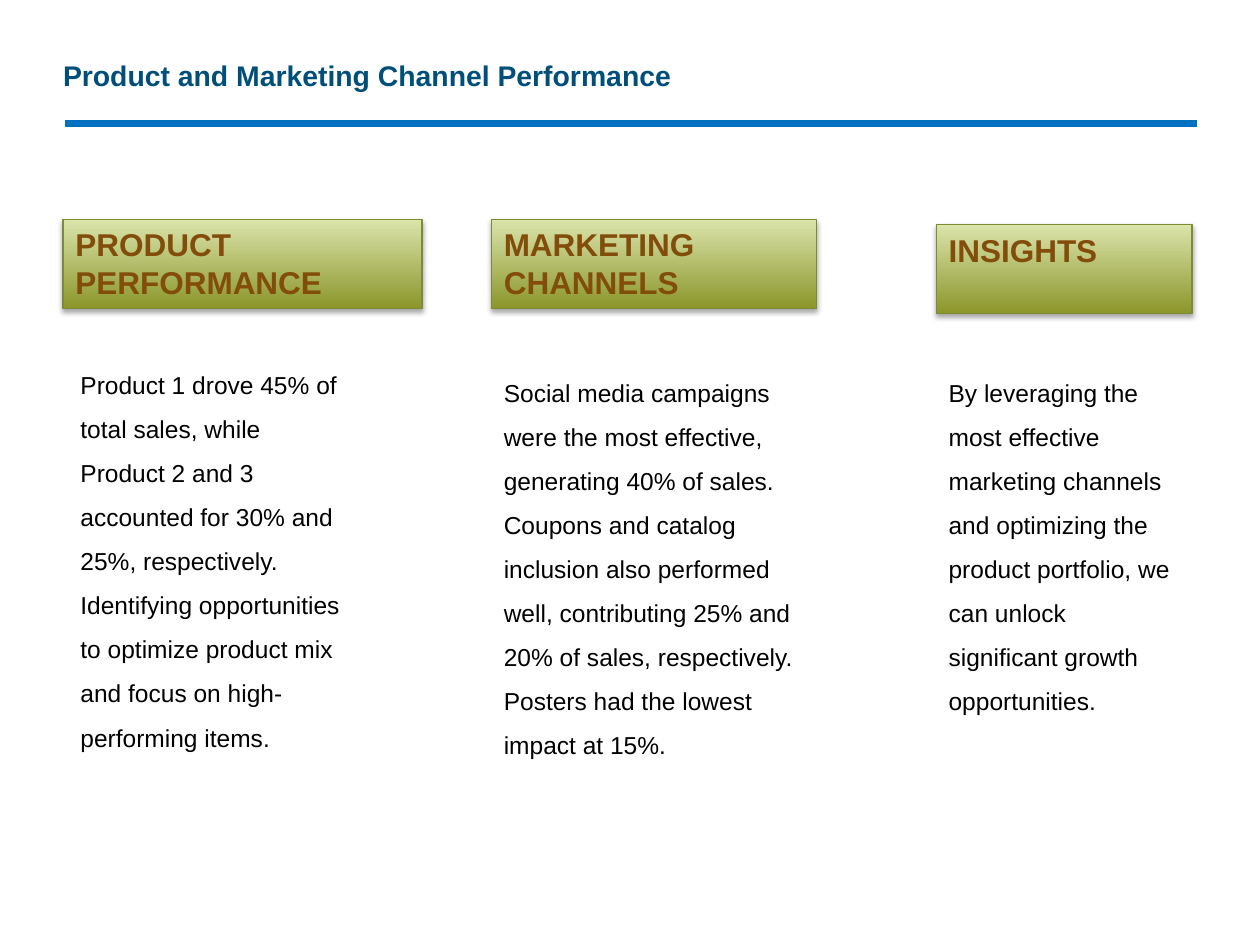
from lxml import etree
from pptx import Presentation
from pptx.dml.color import RGBColor
from pptx.enum.shapes import MSO_CONNECTOR, MSO_SHAPE
from pptx.enum.text import MSO_ANCHOR, MSO_AUTO_SIZE, PP_ALIGN
from pptx.oxml import parse_xml
from pptx.oxml.ns import nsdecls, qn
from pptx.util import Pt

STRAIGHT = MSO_CONNECTOR.STRAIGHT
RECT = MSO_SHAPE.RECTANGLE
TOP, MIDDLE = MSO_ANCHOR.TOP, MSO_ANCHOR.MIDDLE
NO_FIT = MSO_AUTO_SIZE.NONE
LEFT = PP_ALIGN.LEFT

TITLE_BLUE = RGBColor(0x00, 0x4F, 0x7A)
RULE_BLUE = RGBColor(0x00, 0x70, 0xC0)
OLIVE = RGBColor(0x8B, 0x96, 0x2B)
PALE_OLIVE = RGBColor(0xDB, 0xE4, 0xAB)
EDGE_OLIVE = RGBColor(0x80, 0x89, 0x34)
BROWN = RGBColor(0x82, 0x4D, 0x0A)
BLACK = RGBColor(0x00, 0x00, 0x00)

TITLE_FONT = {"name": "Arial", "size": Pt(16.2), "bold": True}
HEADER_FONT = {"name": "Arial", "size": Pt(18), "bold": True}
BODY_FONT = {"name": "Arial", "size": Pt(14), "bold": False}

HEADER_HEIGHT = 51.1
COLUMNS = [
    ("PRODUCT PERFORMANCE", (36, 125.3, 205.2), (38.9, 199.4, 163.4, 233.3),
     "Product 1 drove 45% of total sales, while Product 2 and 3 accounted for "
     "30% and 25%, respectively. Identifying opportunities to optimize product "
     "mix and focus on high-performing items."),
    ("MARKETING CHANNELS", (280.8, 125.3, 185.8), (280.8, 203.8, 185.8, 233.3),
     "Social media campaigns were the most effective, generating 40% of sales. "
     "Coupons and catalog inclusion also performed well, contributing 25% and "
     "20% of sales, respectively. Posters had the lowest impact at 15%."),
    ("INSIGHTS", (535, 128.2, 146.2), (535, 203.8, 146.2, 207.4),
     "By leveraging the most effective marketing channels and optimizing the "
     "product portfolio, we can unlock significant growth opportunities."),
]


def write_text(shape, text, font, color, anchor, spacing):
    tf = shape.text_frame
    tf.word_wrap = True
    tf.auto_size = NO_FIT
    tf.vertical_anchor = anchor
    p = tf.paragraphs[0]
    p.alignment = LEFT
    p.line_spacing = spacing
    r = p.add_run()
    r.text = text
    for name, value in font.items():
        setattr(r.font, name, value)
    r.font.color.rgb = color


def add_title(s, x, y, w, h):
    title = s.shapes.title
    title.left, title.top, title.width, title.height = Pt(x), Pt(y), Pt(w), Pt(h)
    title.text_frame.margin_left = title.text_frame.margin_right = 0
    write_text(title, "Product and Marketing Channel Performance",
               TITLE_FONT, TITLE_BLUE, MIDDLE, 0.9)


def add_rule(s, x, y, w):
    rule = s.shapes.add_connector(STRAIGHT, Pt(x), Pt(y), Pt(x + w), Pt(y))
    rule.line.color.rgb = RULE_BLUE
    rule.line.width = Pt(4.5)
    etree.SubElement(rule._element.spPr, qn("a:effectLst"))


def add_shadow(shape):
    shape._element.spPr.append(parse_xml(
        f'<a:effectLst {nsdecls("a")}>'
        f'<a:outerShdw blurRad="{Pt(3.1)}" dist="{Pt(1.8)}" dir="5400000" rotWithShape="0">'
        '<a:srgbClr val="000000"><a:alpha val="35000"/></a:srgbClr>'
        '</a:outerShdw></a:effectLst>'))


def add_header(s, x, y, w, h, text):
    header = s.shapes.add_shape(RECT, Pt(x), Pt(y), Pt(w), Pt(h))
    header.fill.gradient()
    header.fill.gradient_angle = 90
    for stop, color in zip(header.fill.gradient_stops, (OLIVE, PALE_OLIVE)):
        stop.color.rgb = color
    header.line.color.rgb = EDGE_OLIVE
    header.line.width = Pt(0.75)
    add_shadow(header)
    write_text(header, text, HEADER_FONT, BROWN, TOP, 1.0)


def add_body(s, x, y, w, h, text):
    body = s.shapes.add_textbox(Pt(x), Pt(y), Pt(w), Pt(h))
    write_text(body, text, BODY_FONT, BLACK, TOP, 1.5)


def main():
    prs = Presentation()
    prs.slide_width, prs.slide_height = Pt(720), Pt(540)
    s = prs.slides.add_slide(prs.slide_layouts[5])
    add_rule(s, 37.4, 70.6, 646.6)
    add_title(s, 36, 23.8, 648, 40.3)
    for heading, header_box, body_box, text in COLUMNS:
        add_header(s, *header_box, HEADER_HEIGHT, heading)
        add_body(s, *body_box, text)
    prs.save("out.pptx")


if __name__ == "__main__":
    main()
